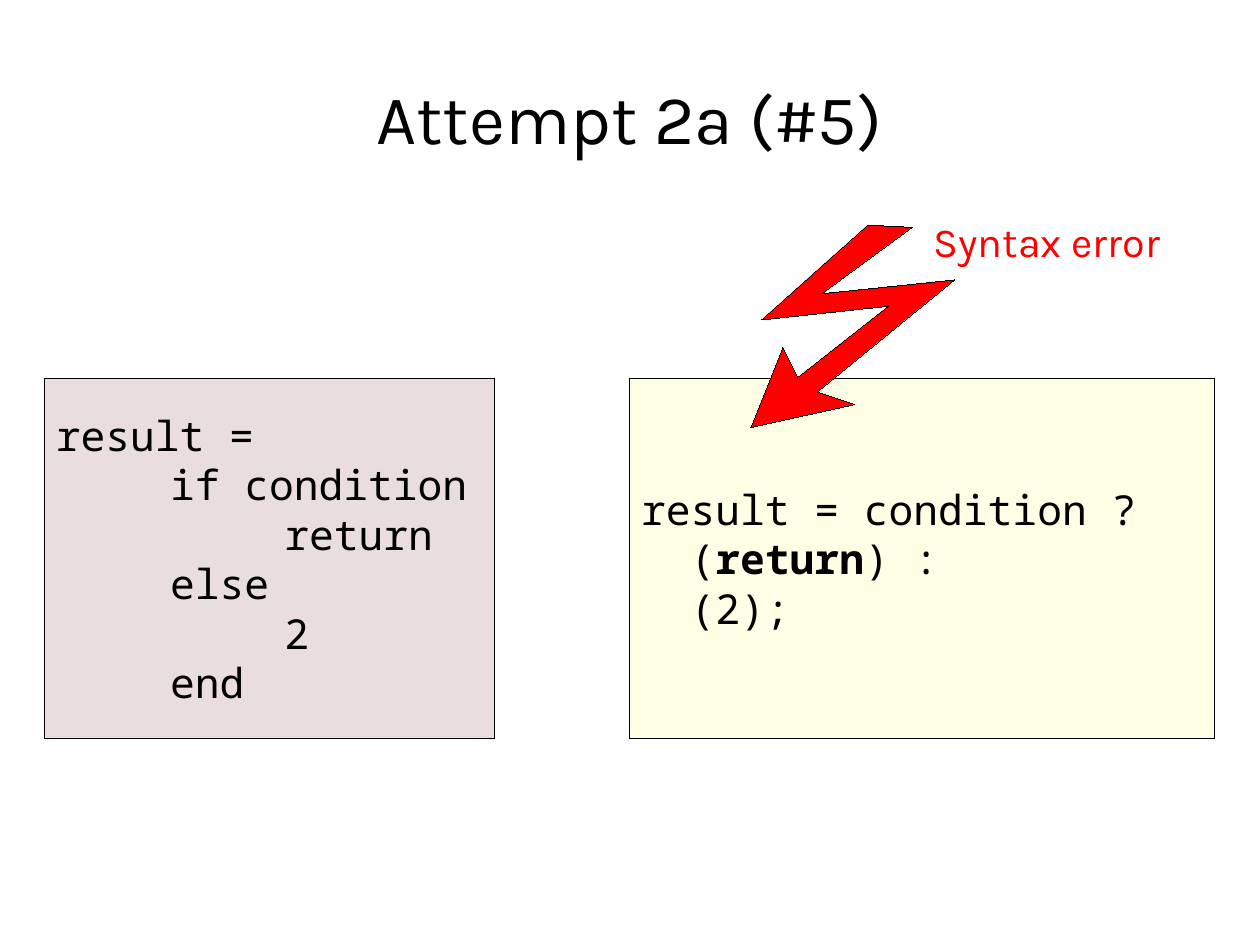
from dataclasses import dataclass

from lxml.etree import SubElement
from pptx import Presentation
from pptx.dml.color import RGBColor
from pptx.enum.shapes import MSO_SHAPE
from pptx.enum.text import MSO_ANCHOR, PP_ALIGN
from pptx.oxml.ns import qn
from pptx.util import Inches, Pt

CM_PER_INCH = 2.54


@dataclass(frozen=True)
class Theme:
    text_font: str = "Karla"
    code_font: str = "Noto Sans Mono"
    title_size: int = 44
    body_size: int = 26
    ink: str = "000000"
    error: str = "FF0000"
    ruby: str = "D6BCBC"
    java: str = "FFFFCC"


class SlideBuilder:
    def __init__(self, slide, theme):
        self.s = slide
        self.theme = theme

    def font(self, p, name, size, color):
        p.font.name = name
        p.font.size = Pt(size)
        p.font.color.rgb = RGBColor.from_string(color)

    def outline(self, sp, fill):
        sp.element.remove(sp.element.find(qn("p:style")))
        sp.shadow.inherit = False
        sp.fill.solid()
        sp.fill.fore_color.rgb = RGBColor.from_string(fill)
        sp.line.color.rgb = RGBColor.from_string(self.theme.ink)
        sp.line.width = Pt(0)

    def label(self, text, box, size, color):
        tf = self.s.shapes.add_textbox(*map(Inches, box)).text_frame
        p = tf.paragraphs[0]
        p.text = text
        self.font(p, self.theme.text_font, size, color)
        return tf

    def title(self, text, box):
        tf = self.label(text, box, self.theme.title_size, self.theme.ink)
        tf.word_wrap = True
        tf.vertical_anchor = MSO_ANCHOR.MIDDLE
        tf.margin_left = tf.margin_right = tf.margin_top = tf.margin_bottom = 0
        tf.paragraphs[0].alignment = PP_ALIGN.CENTER

    def code(self, lines, box, fill):
        sp = self.s.shapes.add_shape(MSO_SHAPE.RECTANGLE, *map(Inches, box))
        self.outline(sp, fill)
        color = sp.element.spPr.find(qn("a:solidFill"))[0]
        SubElement(color, qn("a:alpha"), val="50000")
        tf = sp.text_frame
        tf.word_wrap = True
        tf.vertical_anchor = MSO_ANCHOR.MIDDLE
        for i, line in enumerate(lines):
            p = tf.add_paragraph() if i else tf.paragraphs[0]
            p.alignment = PP_ALIGN.LEFT
            tabs = SubElement(p._p.get_or_add_pPr(), qn("a:tabLst"))
            for stop in (1, 2):
                SubElement(tabs, qn("a:tab"), pos=str(Inches(stop)), algn="l")
            for j, part in enumerate(line.split("**")):
                r = p.add_run()
                r.text = part
                if j % 2:
                    r.font.bold = True
            self.font(p, self.theme.code_font, self.theme.body_size, self.theme.ink)

    def polygon(self, points, fill):
        start, *rest = [(Inches(x), Inches(y)) for x, y in points]
        builder = self.s.shapes.build_freeform(*start)
        builder.add_line_segments(rest, close=True)
        self.outline(builder.convert_to_shape(), fill)


def main():
    prs = Presentation()
    prs.slide_width = Inches(28 / CM_PER_INCH)
    prs.slide_height = Inches(21 / CM_PER_INCH)
    theme = Theme()
    b = SlideBuilder(prs.slides.add_slide(prs.slide_layouts[6]), theme)

    b.title("Attempt 2a (#5)", (0.55, 0.38, 9.92, 1.28))
    ruby = ["result =", "\tif condition", "\t\treturn", "\telse", "\t\t2", "\tend"]
    java = ["result = condition ?", "  (**return**) :", "  (2);"]
    b.code(ruby, (0.39, 3.31, 3.94, 3.15), theme.ruby)
    b.code(java, (5.51, 3.31, 5.12, 3.15), theme.java)
    bolt = [
        (8.35, 2.45), (7.19, 2.57), (7.98, 1.99), (7.59, 1.97),
        (6.66, 2.8), (7.77, 2.68), (6.98, 3.3), (6.85, 3.04),
        (6.57, 3.74), (7.48, 3.54), (7.15, 3.43),
    ]
    b.polygon(bolt, theme.error)
    b.label("Syntax error", (8.07, 1.84, 2.44, 0.52), theme.body_size, theme.error)
    prs.save("out.pptx")


if __name__ == "__main__":
    main()
